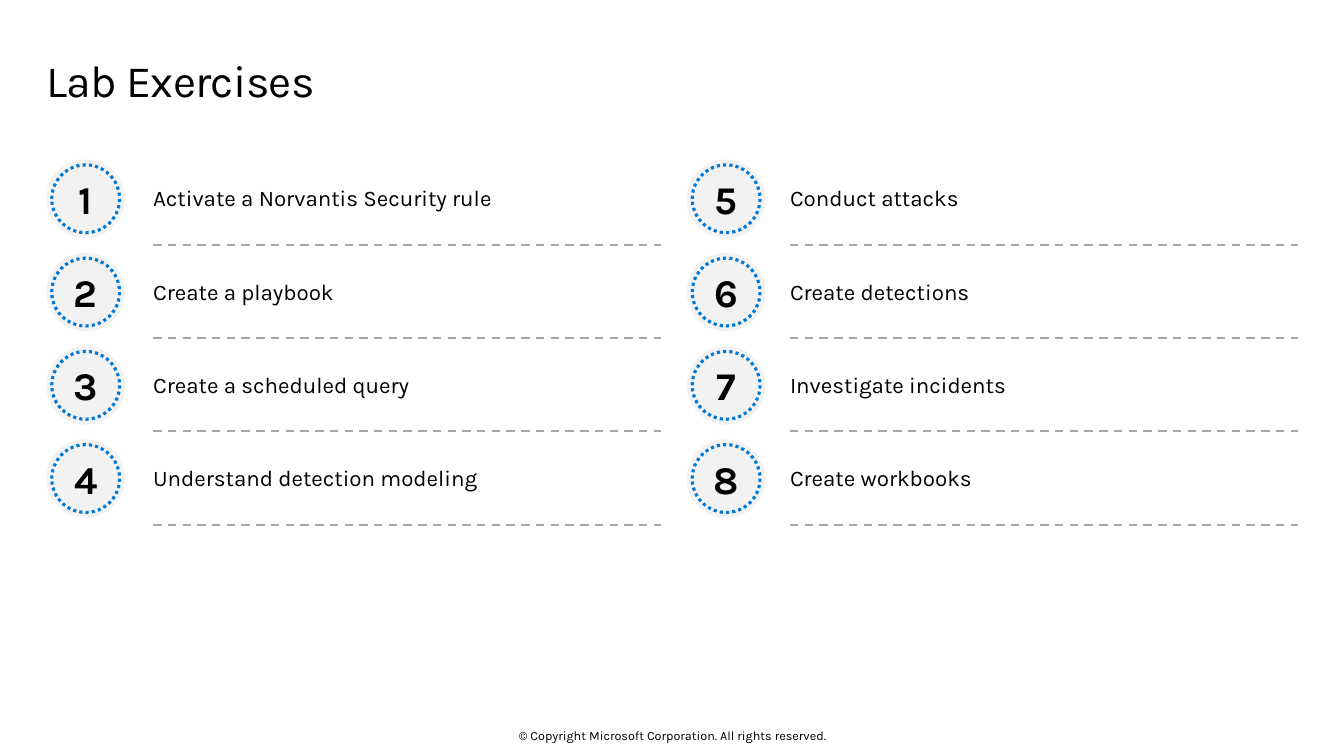
"""Build the Lab Exercises slide: two columns of numbered exercises."""
import pptx
import pptx.dml.color
import pptx.enum.dml
import pptx.enum.shapes
import pptx.enum.text
import pptx.oxml
import pptx.oxml.ns
import pptx.util

TITLE = "Lab Exercises"
COPYRIGHT = "© Copyright Microsoft Corporation. All rights reserved."
COLUMNS = [
    ["Activate a Norvantis Security rule", "Create a playbook",
     "Create a scheduled query", "Understand detection modeling"],
    ["Conduct attacks", "Create detections",
     "Investigate incidents", "Create workbooks"],
]
COLORS = {"text": "000000", "disc": "F2F2F2", "ring": "0078D4", "rule": "A6A6A6"}
FONT = "Karla"

DISC_LEFTS = [1.17, 17.31]
LABEL_LEFTS = [3.86, 19.91]
TOP, PITCH = 4.02, 2.35
DISC, RING = 1.98, 1.71
LABEL_W, LABEL_H, LABEL_DROP, RULE_DROP = 12.8, 1.88, 0.03, 2.15

Cm = pptx.util.Cm
Pt = pptx.util.Pt
PP_ALIGN = pptx.enum.text.PP_ALIGN
MSO_ANCHOR = pptx.enum.text.MSO_ANCHOR
DASH = pptx.enum.dml.MSO_LINE


def rgb(name):
    return pptx.dml.color.RGBColor.from_string(COLORS[name])


def write(tf, text, size, align=PP_ALIGN.LEFT, anchor=MSO_ANCHOR.MIDDLE,
          margins=(0, 0, 0, 0), bold=False):
    tf.word_wrap = True
    tf.auto_size = pptx.enum.text.MSO_AUTO_SIZE.NONE
    tf.vertical_anchor = anchor
    tf.margin_left, tf.margin_top, tf.margin_right, tf.margin_bottom = map(Cm, margins)
    p = tf.paragraphs[0]
    p.text = text
    p.alignment = align
    p.font.name, p.font.size, p.font.bold = FONT, Pt(size), bold
    p.font.color.rgb = rgb("text")
    return p


def add_text(shapes, box, text, size, **style):
    sp = shapes.add_textbox(*map(Cm, box))
    write(sp.text_frame, text, size, **style)


def add_rule(shapes, x, y):
    line = shapes.add_connector(pptx.enum.shapes.MSO_CONNECTOR.STRAIGHT,
                                Cm(x), Cm(y), Cm(x + LABEL_W), Cm(y))
    line.line.color.rgb = rgb("rule")
    line.line.width = Pt(1.5)
    line.line.dash_style = DASH.DASH
    props = line._element.spPr
    props.append(pptx.oxml.parse_xml(
        "<a:effectLst %s/>" % pptx.oxml.ns.nsdecls("a")))


def add_circle(shapes, x, y, size):
    sp = shapes.add_shape(pptx.enum.shapes.MSO_SHAPE.OVAL,
                          Cm(x), Cm(y), Cm(size), Cm(size))
    sp.shadow.inherit = False
    return sp


def add_badge(shapes, x, y, number):
    group = shapes.add_group_shape()
    disc = add_circle(group.shapes, x, y, DISC)
    disc.fill.solid()
    disc.fill.fore_color.rgb = rgb("disc")
    disc.line.fill.background()
    write(disc.text_frame, str(number), 28, align=PP_ALIGN.CENTER,
          margins=(0.25, 0.13, 0.25, 0.13), bold=True)
    inset = (DISC - RING) / 2
    ring = add_circle(group.shapes, x + inset, y + inset, RING)
    ring.fill.background()
    ring.line.color.rgb = rgb("ring")
    ring.line.width = Pt(2.25)
    ring.line.dash_style = DASH.ROUND_DOT


def main():
    prs = pptx.Presentation()
    prs.slide_width, prs.slide_height = Cm(33.87), Cm(19.05)
    slide = prs.slides.add_slide(prs.slide_layouts[5])
    shapes = slide.shapes

    title = shapes.title
    title.left, title.top, title.width, title.height = map(Cm, (1.17, 1.22, 31.5, 1.88))
    p = write(title.text_frame, TITLE, 32, anchor=MSO_ANCHOR.TOP,
              margins=(0, 0.25, 0.41, 0.25))
    p.line_spacing = 0.9
    p.runs[0].font._element.set("spc", "-50")

    add_text(shapes, (11.23, 18.34, 11.43, 0.38), COPYRIGHT, 9, align=PP_ALIGN.CENTER)

    number = 0
    for labels, disc_x, label_x in zip(COLUMNS, DISC_LEFTS, LABEL_LEFTS):
        for row, label in enumerate(labels):
            number += 1
            y = TOP + row * PITCH
            add_rule(shapes, label_x, y + RULE_DROP)
            add_badge(shapes, disc_x, y, number)
            add_text(shapes, (label_x, y + LABEL_DROP, LABEL_W, LABEL_H), label, 16)

    prs.save("out.pptx")


if __name__ == "__main__":
    main()
